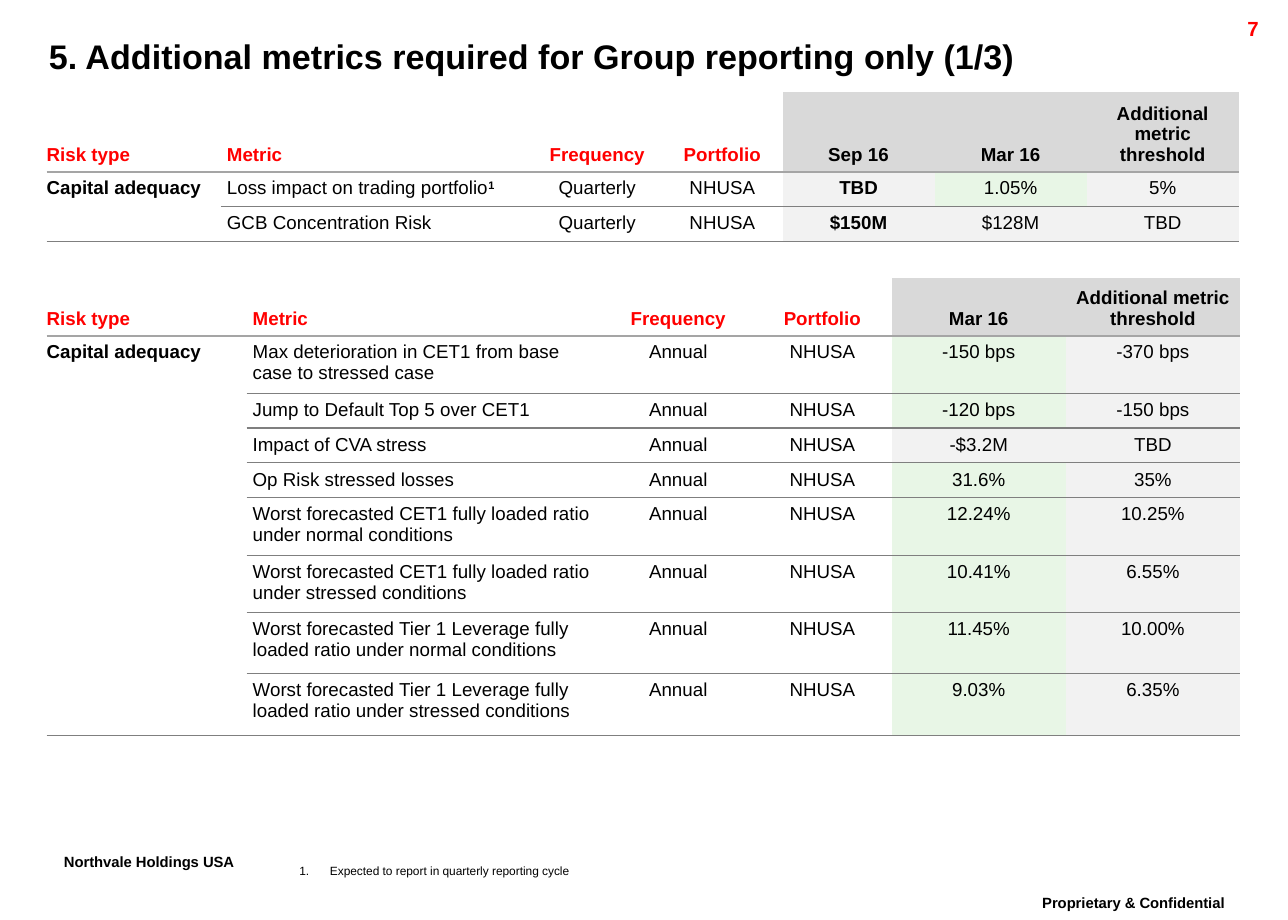
from dataclasses import dataclass
from lxml.etree import SubElement
from pptx import Presentation
from pptx.dml.color import RGBColor
from pptx.enum.text import MSO_ANCHOR, PP_ALIGN
from pptx.oxml import parse_xml
from pptx.oxml.ns import nsdecls, qn
from pptx.util import Inches, Pt


@dataclass(frozen=True)
class Theme:
    font: str = "Arial"
    black: str = "000000"
    red: str = "FF0000"
    head_fill: str = "D9D9D9"
    value_fill: str = "F2F2F2"
    within_fill: str = "E8F6E6"
    head_line: str = "A5A5A5"
    row_line: str = "7F7F7F"
    title: float = 20
    footer: float = 15
    page: float = 12
    body: float = 11
    note: float = 7


THEME = Theme()
INSET = 0.05
ONE_LINE, TWO_LINES, TALL = 0.285, 0.465, 0.5

# Each row: metric, frequency, portfolio, values, Mar 16 within threshold, height
QUARTERLY = [
    ("Loss impact on trading portfolio", "Quarterly", "NHUSA", ("TBD", "1.05%", "5%"), True, ONE_LINE),
    ("GCB Concentration Risk", "Quarterly", "NHUSA", ("$150M", "$128M", "TBD"), False, ONE_LINE),
]
ANNUAL = [
    (metric, "Annual", "NHUSA", values, within, height)
    for metric, values, within, height in [
        ("Max deterioration in CET1 from base case to stressed case", ("-150 bps", "-370 bps"), True, TWO_LINES),
        ("Jump to Default Top 5 over CET1", ("-120 bps", "-150 bps"), True, ONE_LINE),
        ("Impact of CVA stress", ("-$3.2M", "TBD"), False, ONE_LINE),
        ("Op Risk stressed losses", ("31.6%", "35%"), True, ONE_LINE),
        ("Worst forecasted CET1 fully loaded ratio under normal conditions", ("12.24%", "10.25%"), True, TWO_LINES),
        ("Worst forecasted CET1 fully loaded ratio under stressed conditions", ("10.41%", "6.55%"), True, TWO_LINES),
        ("Worst forecasted Tier 1 Leverage fully loaded ratio under normal conditions",
         ("11.45%", "10.00%"), True, TALL),
        ("Worst forecasted Tier 1 Leverage fully loaded ratio under stressed conditions",
         ("9.03%", "6.35%"), True, TALL),
    ]
]


def style_run(r, size, color=THEME.black, bold=False, raised=False):
    r.font.name = THEME.font
    r.font.size = Pt(size)
    r.font.bold = bold
    r.font.color.rgb = RGBColor.from_string(color)
    if raised:
        r.font._element.set("baseline", "30000")


def add_text(s, box, text, size, align=PP_ALIGN.LEFT, wrap=True, **look):
    tf = s.shapes.add_textbox(*map(Inches, box)).text_frame
    tf.word_wrap = wrap
    tf.text = text
    p = tf.paragraphs[0]
    p.alignment = align
    p.line_spacing = 0.86
    style_run(p.runs[0], size, **look)
    return tf


def set_borders(cell, top=None, bottom=None):
    """Draw the given (colour, points) lines and clear the other sides."""
    sides = {"lnL": None, "lnR": None, "lnT": top, "lnB": bottom}
    tc_pr = cell._tc.get_or_add_tcPr()
    for i, (tag, line) in enumerate(sides.items()):
        ln = parse_xml(f"<a:{tag} {nsdecls('a')}/>")
        if line:
            color, points = line
            ln.set("w", str(Pt(points)))
            fill = SubElement(ln, qn("a:solidFill"))
            SubElement(fill, qn("a:srgbClr")).set("val", color)
        else:
            SubElement(ln, qn("a:noFill"))
        tc_pr.insert(i, ln)


def fill_cell(cell, text, col, fill=None, color=THEME.black, bold=False, anchor=MSO_ANCHOR.TOP):
    cell.text = text
    cell.vertical_anchor = anchor
    cell.margin_left = Inches(INSET if col else 0)
    cell.margin_right = cell.margin_top = cell.margin_bottom = Inches(INSET)
    if fill:
        cell.fill.solid()
        cell.fill.fore_color.rgb = RGBColor.from_string(fill)
    else:
        cell.fill.background()
    p = cell.text_frame.paragraphs[0]
    p.alignment = PP_ALIGN.LEFT if col < 2 else PP_ALIGN.CENTER
    for r in p.runs:
        style_run(r, THEME.body, color, bold)


def add_metric_table(s, left, top, widths, head_height, value_heads, metrics):
    heads = ["Risk type", "Metric", "Frequency", "Portfolio", *value_heads]
    first_value, mar_col = 4, heads.index("Mar 16")
    heights = [head_height] + [m[-1] for m in metrics]
    shape = s.shapes.add_table(len(heights), len(heads), Inches(left), Inches(top),
                               Inches(sum(widths)), Inches(sum(heights)))
    table = shape.table
    table.first_row = table.horz_banding = False
    for column, width in zip(table.columns, widths):
        column.width = Inches(width)
    for row, height in zip(table.rows, heights):
        row.height = Inches(height)

    head_line, row_line = (THEME.head_line, 1), (THEME.row_line, 0.75)
    for col, head in enumerate(heads):
        is_value = col >= first_value
        cell = table.cell(0, col)
        fill_cell(cell, head, col, THEME.head_fill if is_value else None,
                  THEME.black if is_value else THEME.red, True, MSO_ANCHOR.BOTTOM)
        set_borders(cell, bottom=head_line)

    last = len(metrics)
    for row, (metric, frequency, portfolio, values, within, _) in enumerate(metrics, 1):
        risk = "Capital adequacy" if row == 1 else ""
        for col, text in enumerate([risk, metric, frequency, portfolio, *values]):
            fill = THEME.value_fill if col >= first_value else None
            if col == mar_col and within:
                fill = THEME.within_fill
            cell = table.cell(row, col)
            fill_cell(cell, text, col, fill, bold=col == 0 or heads[col] == "Sep 16")
            above = head_line if row == 1 else row_line
            if col:
                set_borders(cell, above, row_line)
            else:
                set_borders(cell, head_line if row == 1 else None,
                            row_line if row in (1, last) else None)
    table.cell(1, 0).merge(table.cell(last, 0))
    return table


def add_footnote(s, box, text):
    tf = add_text(s, box, text, THEME.note)
    tf.margin_left = tf.margin_right = tf.margin_top = tf.margin_bottom = 0
    p = tf.paragraphs[0]
    p.line_spacing = 1.0
    p_pr = p._p.get_or_add_pPr()
    p_pr.set("marL", str(Inches(0.25)))
    p_pr.set("indent", str(-Inches(0.25)))
    SubElement(p_pr, qn("a:buFont")).set("typeface", THEME.font)
    SubElement(p_pr, qn("a:buAutoNum")).set("type", "arabicPeriod")


def add_frame(s):
    """Place the title, page number and footer labels."""
    add_text(s, (0.3, 0.29, 9.82, 0.39),
             "5. Additional metrics required for Group reporting only (1/3)", THEME.title, bold=True)
    add_text(s, (9.36, 0.11, 1, 0.24), "7", THEME.page, PP_ALIGN.RIGHT, color=THEME.red, bold=True)
    add_text(s, (8.15, 7.25, 2.18, 0.35), "Proprietary & Confidential", THEME.footer,
             PP_ALIGN.CENTER, bold=True, raised=True)
    add_text(s, (0.26, 6.91, 1.91, 0.35), "Northvale Holdings USA", THEME.footer,
             PP_ALIGN.CENTER, wrap=False, bold=True, raised=True)


def main():
    prs = Presentation()
    prs.slide_width, prs.slide_height = Inches(10.5), Inches(7.5)
    s = prs.slides.add_slide(prs.slide_layouts[6])
    add_frame(s)
    threshold = "Additional metric threshold"
    quarterly = add_metric_table(s, 0.38, 0.75, [1.42, 2.54, 1.06, 0.98, 1.24, 1.24, 1.24], 0.65,
                                 ["Sep 16", "Mar 16", threshold], QUARTERLY)
    mark = quarterly.cell(1, 1).text_frame.paragraphs[0].add_run()
    mark.text = "1"
    style_run(mark, THEME.body, bold=True, raised=True)
    add_metric_table(s, 0.38, 2.27, [1.63, 2.91, 1.22, 1.13, 1.42, 1.42], TWO_LINES,
                     ["Mar 16", threshold], ANNUAL)
    add_footnote(s, (2.44, 7.04, 5.47, 0.13), "Expected to report in quarterly reporting cycle")
    prs.save("out.pptx")


if __name__ == "__main__":
    main()
